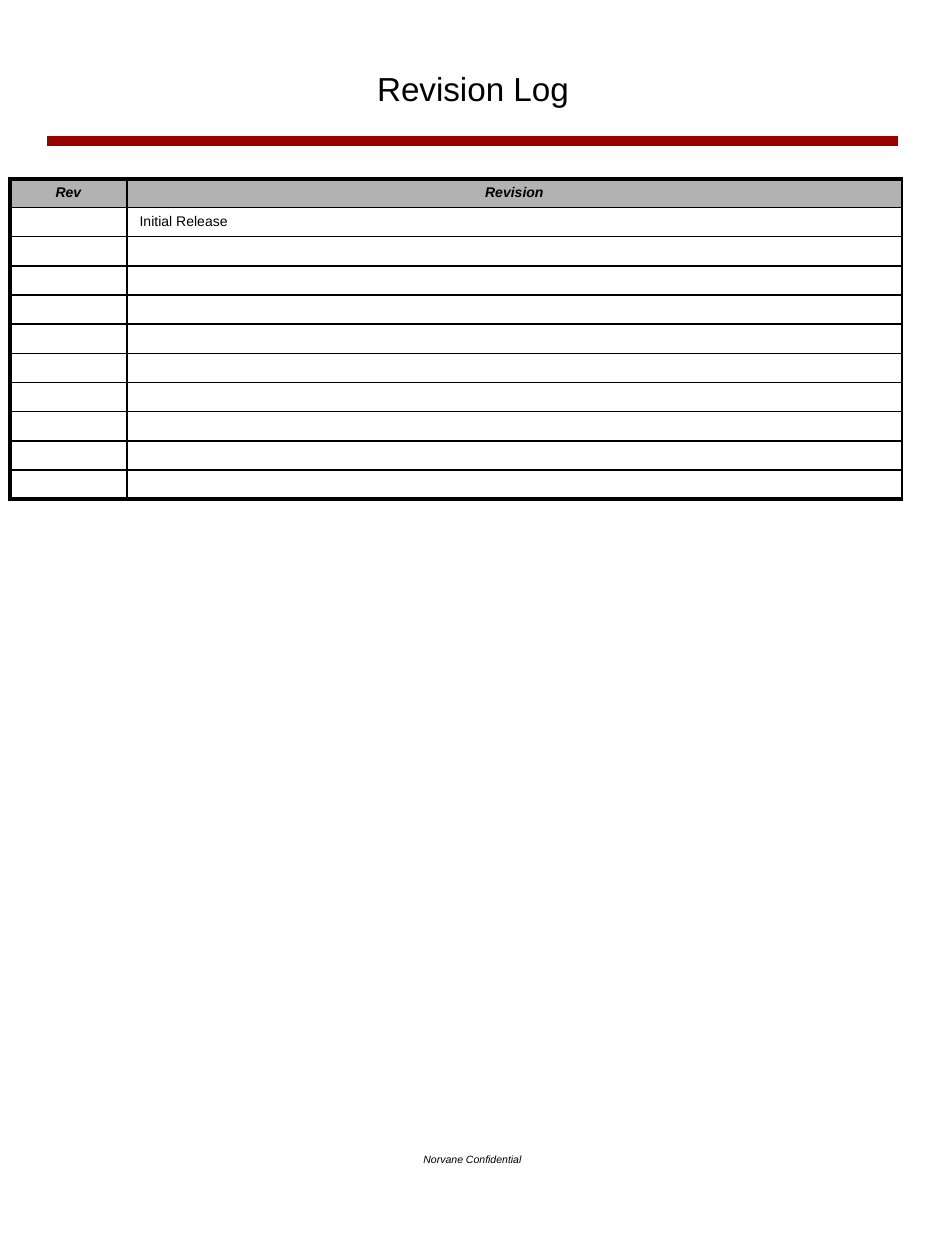
from dataclasses import dataclass

from lxml import etree
from pptx import Presentation
from pptx.dml.color import RGBColor
from pptx.enum.shapes import MSO_CONNECTOR
from pptx.enum.text import MSO_ANCHOR, PP_ALIGN
from pptx.oxml.ns import qn
from pptx.slide import Slide
from pptx.table import _Cell
from pptx.text.text import _Paragraph
from pptx.util import Cm, Pt

STRAIGHT = MSO_CONNECTOR.STRAIGHT
CENTER, LEFT = PP_ALIGN.CENTER, PP_ALIGN.LEFT
TOP, MIDDLE = MSO_ANCHOR.TOP, MSO_ANCHOR.MIDDLE

FONT = "Arial"
BLACK, RED, GRAY = "000000", "990000", "B2B2B2"
THICK, THIN = 2.25, 1

CELL_SIZE = 8
HEADER_FORMAT = {"size": Pt(CELL_SIZE), "bold": True, "italic": True}
BODY_FORMAT = {"size": Pt(CELL_SIZE), "bold": False, "italic": False}

HEADERS = ["Rev", "Revision"]
ENTRIES = [["", "Initial Release"]] + [["", ""]] * 9
COLUMN_WIDTHS = [2.36, 15.62]
TABLE_LEFT, TABLE_TOP, TABLE_HEIGHT = 0.2, 3.61, 6.31


@dataclass
class Label:
    text: str
    left: float
    top: float
    width: float
    height: float
    anchor: MSO_ANCHOR
    font_format: dict


LABELS = [
    Label("Norvane Confidential", 6.5, 23.14, 6.05, 1.75, TOP,
          {"size": Pt(6), "italic": True}),
    Label("Revision Log", 0.96, 1.02, 17.15, 1.52, MIDDLE, {"size": Pt(19)}),
]


def color(value: str) -> RGBColor:
    return RGBColor.from_string(value)


def write(paragraph: _Paragraph, text: str, alignment: PP_ALIGN, font_format: dict) -> None:
    paragraph.alignment = alignment
    run = paragraph.add_run()
    run.text = text
    run.font.name = FONT
    run.font.color.rgb = color(BLACK)
    for name, value in font_format.items():
        setattr(run.font, name, value)


def add_label(slide: Slide, label: Label) -> None:
    box = slide.shapes.add_textbox(
        Cm(label.left), Cm(label.top), Cm(label.width), Cm(label.height))
    frame = box.text_frame
    frame.word_wrap = True
    frame.vertical_anchor = label.anchor
    frame.margin_left = frame.margin_right = Cm(0.2)
    frame.margin_top = frame.margin_bottom = Cm(0.1)
    write(frame.paragraphs[0], label.text, CENTER, label.font_format)


def add_rule(slide: Slide) -> None:
    rule = slide.shapes.add_connector(STRAIGHT, Cm(0.95), Cm(2.84), Cm(18.11), Cm(2.84))
    rule.line.color.rgb = color(RED)
    rule.line.width = Pt(6)
    etree.SubElement(rule._element.spPr, qn("a:effectLst"))


def set_borders(cell: _Cell, widths: dict[str, float]) -> None:
    """Draw black borders; widths maps the sides L, R, T, B, in that order, to points."""
    properties = cell._tc.get_or_add_tcPr()
    for side, width in widths.items():
        border = etree.SubElement(properties, qn(f"a:ln{side}"), w=str(Pt(width)))
        fill = etree.SubElement(border, qn("a:solidFill"))
        etree.SubElement(fill, qn("a:srgbClr"), val=BLACK)


def add_revision_table(slide: Slide) -> None:
    rows = [HEADERS] + ENTRIES
    last_row = len(rows) - 1
    table = slide.shapes.add_table(
        len(rows), len(HEADERS), Cm(TABLE_LEFT), Cm(TABLE_TOP),
        Cm(sum(COLUMN_WIDTHS)), Cm(TABLE_HEIGHT)).table
    table.first_row = table.horz_banding = False
    for column, width in zip(table.columns, COLUMN_WIDTHS):
        column.width = Cm(width)

    for row_index, texts in enumerate(rows):
        is_header = row_index == 0
        table.rows[row_index].height = Cm(TABLE_HEIGHT / len(rows))
        for column_index, text in enumerate(texts):
            cell = table.cell(row_index, column_index)
            cell.margin_top = cell.margin_bottom = Cm(0.12)
            set_borders(cell, {
                "L": THICK if column_index == 0 else THIN,
                "R": THIN,
                "T": THICK if is_header else THIN,
                "B": THICK if row_index == last_row else THIN,
            })
            if is_header:
                cell.fill.solid()
                cell.fill.fore_color.rgb = color(GRAY)
            else:
                cell.fill.background()
            paragraph = cell.text_frame.paragraphs[0]
            if text:
                write(paragraph, text, CENTER if is_header else LEFT,
                      HEADER_FORMAT if is_header else BODY_FORMAT)
            else:
                # The end mark's size keeps an empty row from growing.
                etree.SubElement(paragraph._p, qn("a:endParaRPr"), sz=str(CELL_SIZE * 100))


def main() -> None:
    presentation = Presentation()
    presentation.slide_width = Cm(19.05)
    presentation.slide_height = Cm(25.4)
    slide = presentation.slides.add_slide(presentation.slide_layouts[6])
    add_rule(slide)
    add_revision_table(slide)
    for label in LABELS:
        add_label(slide, label)
    presentation.save("out.pptx")


if __name__ == "__main__":
    main()
